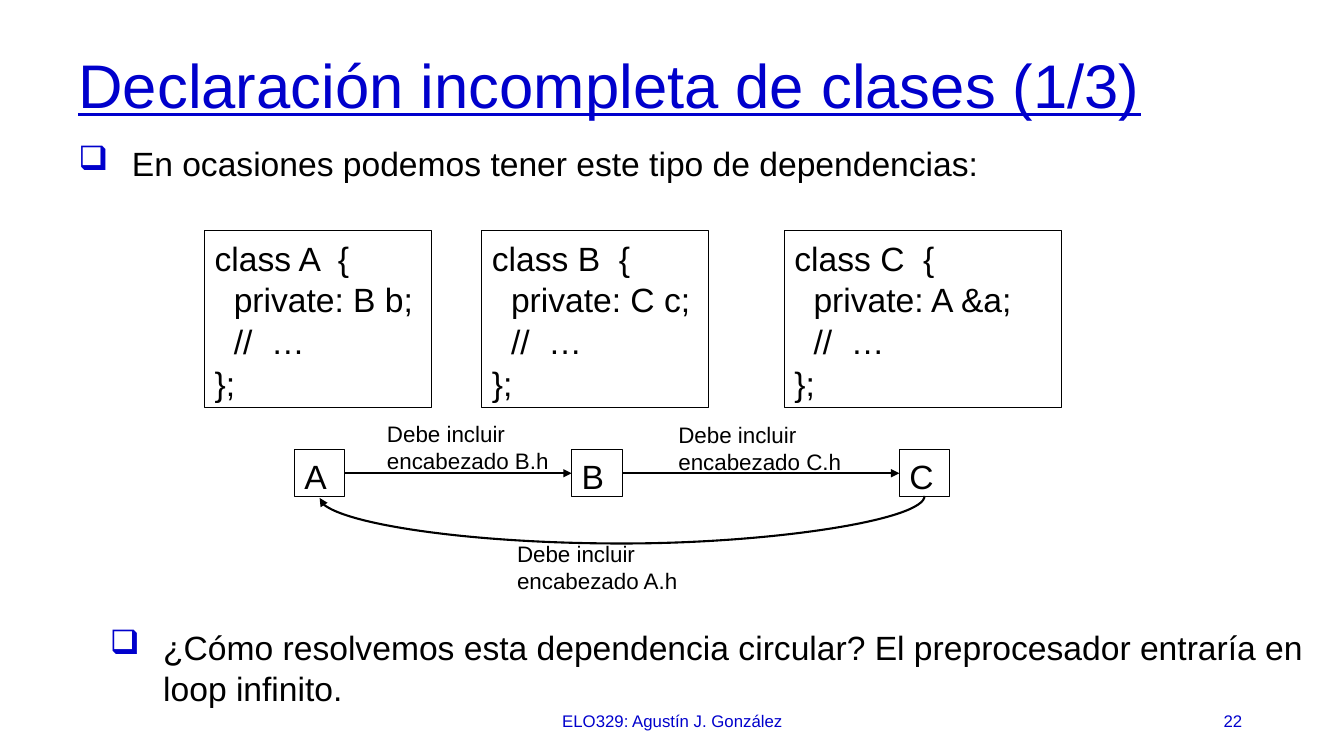
from lxml import etree
from pptx import Presentation
from pptx.dml.color import RGBColor
from pptx.enum.shapes import MSO_CONNECTOR, MSO_SHAPE
from pptx.enum.text import MSO_ANCHOR, PP_ALIGN
from pptx.oxml.ns import qn
from pptx.util import Inches, Pt

BLUE = RGBColor(0x00, 0x00, 0xCC)
BLACK = RGBColor(0x00, 0x00, 0x00)
FONT = "Arial"
CODE_INDENT = 0.19
BULLET_INDENT = 0.53

# name, code box left and width, node left, member declaration
CLASSES = [
    ("A", 2.03, 2.25, 2.92, "B b"),
    ("B", 4.78, 2.25, 5.67, "C c"),
    ("C", 7.78, 2.75, 8.92, "A &a"),
]
# header to include, label left and top
LABELS = [("B", 3.74, 4.12), ("C", 6.63, 4.13), ("A", 5.03, 5.31)]
CODE_TOP, CODE_HEIGHT = 2.29, 1.75
NODE_TOP, NODE_WIDTH, NODE_HEIGHT = 4.46, 0.5, 0.47


def write(sp, lines, size, color=BLACK, align=PP_ALIGN.LEFT,
          anchor=MSO_ANCHOR.TOP, spacing=None):
    """Fill a shape with one paragraph per line and return the paragraphs."""
    tf = sp.text_frame
    tf.word_wrap = True
    tf.vertical_anchor = anchor
    for i, line in enumerate(lines):
        p = tf.add_paragraph() if i else tf.paragraphs[0]
        p.text = line
        p.alignment = align
        p.line_spacing = spacing
        p.font.name = FONT
        p.font.size = Pt(size)
        p.font.color.rgb = color
    return tf.paragraphs


def add_text(slide, box, text, size, **style):
    sp = slide.shapes.add_textbox(*map(Inches, box))
    return write(sp, [text], size, **style)[0]


def add_title(slide, box, text):
    p = add_text(slide, box, text, 44, color=BLUE,
                 anchor=MSO_ANCHOR.MIDDLE, spacing=0.9)
    p.font.underline = True


def add_bullet(slide, box, text):
    p = add_text(slide, box, text, 24, spacing=1.04)
    p.space_before, p.space_after = Pt(6), Pt(4)
    pPr = p._p.get_or_add_pPr()
    pPr.set("marL", str(Inches(BULLET_INDENT)))
    pPr.set("indent", str(-Inches(BULLET_INDENT)))
    bu_color = etree.Element(qn("a:buClr"))
    etree.SubElement(bu_color, qn("a:srgbClr"), val=str(BLUE))
    bu_char = etree.Element(qn("a:buChar"), char="❑")
    default_font = pPr.find(qn("a:defRPr"))
    default_font.addprevious(bu_color)
    default_font.addprevious(bu_char)


def add_box(slide, box, lines):
    sp = slide.shapes.add_shape(MSO_SHAPE.RECTANGLE, *map(Inches, box))
    sp.shadow.inherit = False
    sp.fill.background()
    sp.line.color.rgb = BLACK
    sp.line.width = Pt(0)
    write(sp, lines, 24, spacing=1.04)
    return sp


def add_class(slide, box, name, member):
    lines = [f"class {name}  {{", f"private: {member};", "//  …", "};"]
    sp = add_box(slide, box, lines)
    for p in sp.text_frame.paragraphs[1:3]:
        p._p.get_or_add_pPr().set("marL", str(Inches(CODE_INDENT)))


def add_arrow(slide, kind, x1, y1, x2, y2):
    cxn = slide.shapes.add_connector(kind, *map(Inches, (x1, y1, x2, y2)))
    cxn.line.color.rgb = BLACK
    cxn.line.width = Pt(1.5)
    etree.SubElement(cxn.line._get_or_add_ln(), qn("a:tailEnd"), type="triangle")
    etree.SubElement(cxn._element.spPr, qn("a:effectLst"))
    return cxn


def add_return_arrow(slide, x_from, x_to, y, drop):
    """Curve from one node's bottom under the row to another's bottom."""
    rise = 0.02
    mid_x, mid_y, half = (x_from + x_to) / 2, y + rise / 2, (x_from - x_to) / 2
    # Drawn upright, then turned a quarter about its centre.
    cxn = add_arrow(slide, MSO_CONNECTOR.CURVE, mid_x - rise / 2, mid_y - half,
                    mid_x + rise / 2, mid_y + half)
    spPr = cxn._element.spPr
    spPr.find(qn("a:xfrm")).set("rot", str(90 * 60000))
    guides = spPr.find(qn("a:prstGeom")).find(qn("a:avLst"))
    etree.SubElement(guides, qn("a:gd"), name="adj1",
                     fmla=f"val {round(drop / rise * 100000)}")


def add_dependencies(slide):
    nodes = []
    for name, left, width, node_left, member in CLASSES:
        add_class(slide, (left, CODE_TOP, width, CODE_HEIGHT), name, member)
        nodes.append(add_box(
            slide, (node_left, NODE_TOP, NODE_WIDTH, NODE_HEIGHT), [name]))
    for start, end in zip(nodes, nodes[1:]):
        cxn = add_arrow(slide, MSO_CONNECTOR.STRAIGHT, 0, 0, 1, 1)
        cxn.begin_connect(start, 3)
        cxn.end_connect(end, 1)
    first, last = (CLASSES[i][3] + NODE_WIDTH / 2 for i in (0, -1))
    add_return_arrow(slide, last, first, NODE_TOP + NODE_HEIGHT - 0.01, 0.47)
    for header, left, top in LABELS:
        add_text(slide, (left, top, 1.93, 0.58),
                 f"Debe incluir\vencabezado {header}.h", 16)


def add_footer(slide, top, height):
    style = {"color": BLUE, "anchor": MSO_ANCHOR.MIDDLE}
    add_text(slide, (4.42, top, 4.5, height), "ELO329: Agustín J. González",
             12, align=PP_ALIGN.CENTER, **style)
    add_text(slide, (9.42, top, 3, height), "22", 12,
             align=PP_ALIGN.RIGHT, **style)


def main():
    prs = Presentation()
    prs.slide_width, prs.slide_height = Inches(13.33), Inches(7.5)
    slide = prs.slides.add_slide(prs.slide_layouts[6])
    add_title(slide, (0.68, 0.4, 12.08, 0.95),
              "Declaración incompleta de clases (1/3)")
    add_bullet(slide, (0.68, 1.35, 12.08, 0.86),
               "En ocasiones podemos tener este tipo de dependencias:")
    add_dependencies(slide)
    add_bullet(slide, (0.99, 6.15, 12.08, 1.1),
               "¿Cómo resolvemos esta dependencia circular? "
               "El preprocesador entraría en loop infinito.")
    add_footer(slide, 6.95, 0.4)
    prs.save("out.pptx")


if __name__ == "__main__":
    main()
